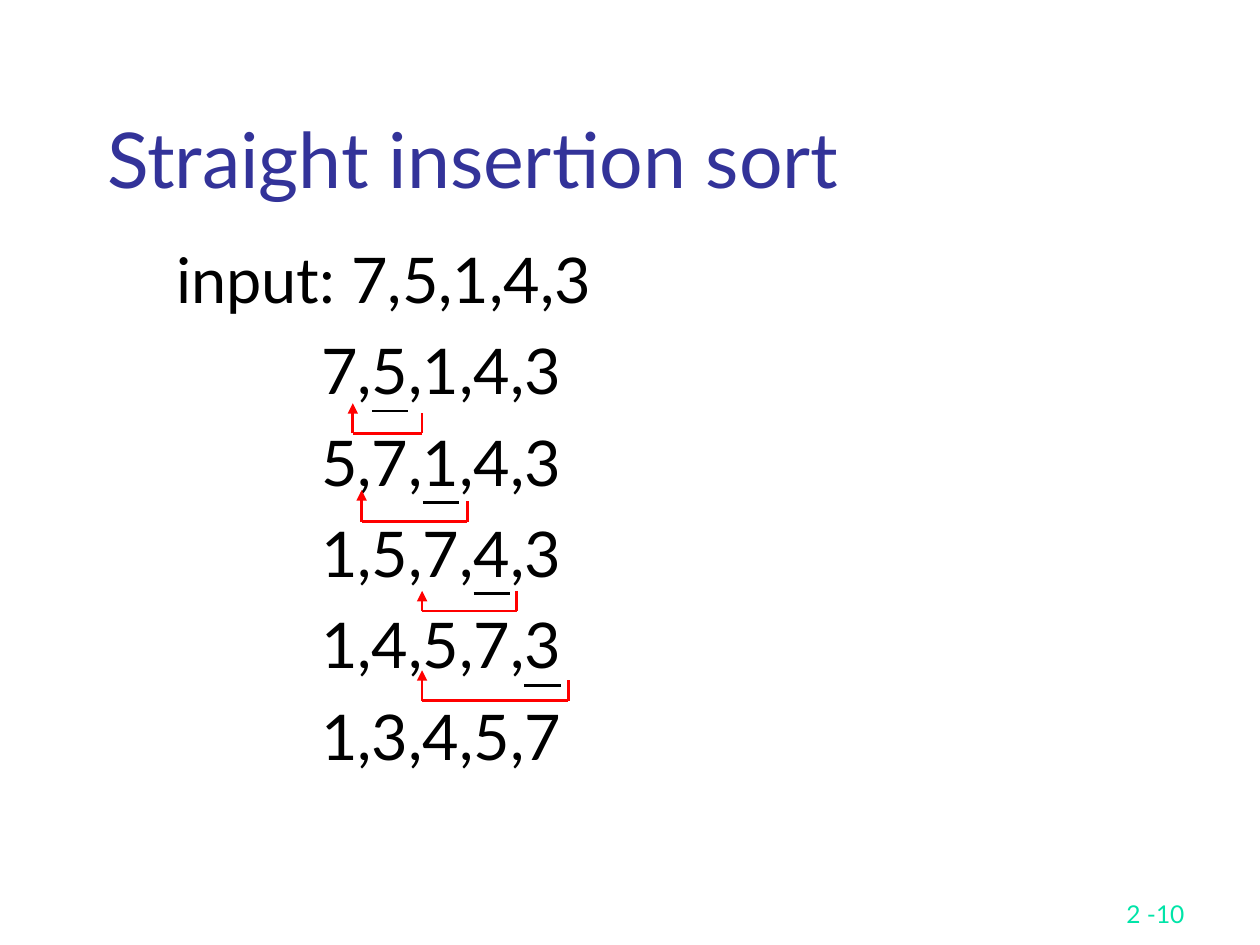
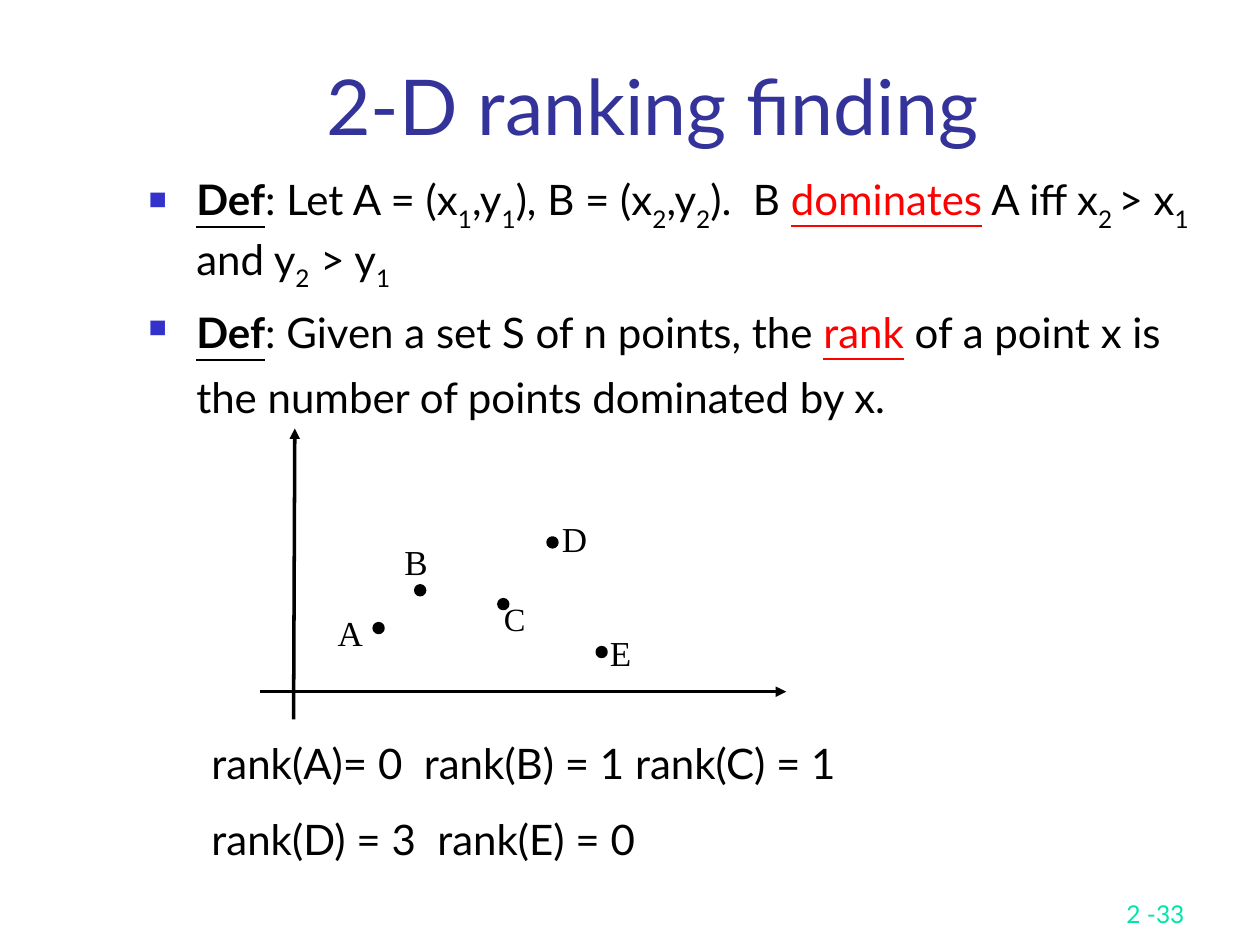
from lxml import etree
from pptx import Presentation
from pptx.dml.color import RGBColor
from pptx.enum.shapes import MSO_CONNECTOR as LINK, MSO_SHAPE as SHAPE
from pptx.enum.text import MSO_ANCHOR as ANCHOR, MSO_AUTO_SIZE as FIT, PP_ALIGN as ALIGN
from pptx.oxml.ns import qn
from pptx.util import Inches, Pt

COLORS = {"title": "333399", "page": "00E4A8", "bullet": "3333CC",
          "text": "000000", "mark": "FF0000", "back": "FFFFFF"}
SANS, SERIF = "Lato", "Times New Roman"

# Sort slide: the digits after each pass, and the place of the one to insert
INPUT = "input: 7,5,1,4,3"
PASSES = [("75143", 1), ("57143", 2), ("15743", 3), ("14573", 4), ("13457", None)]
# Each move: left, right, base and tip of its bracket
MOVES = [(2.8, 3.35, 3.44, 3.2), (2.87, 3.71, 4.14, 3.89),
         (3.35, 4.1, 4.85, 4.69), (3.35, 4.51, 5.56, 5.32)]
STUB = 0.16

# Ranking slide: runs of (text, style)
DEFS = [
    [("Def", "def"), (": Let A = (x", ""), ("1", "sub"), (",y", ""), ("1", "sub"),
     ("), B = (x", ""), ("2", "sub"), (",y", ""), ("2", "sub"), (").  B ", ""),
     ("dominates", "key"), (" A iff x", ""), ("2 ", "sub"), ("> x", ""),
     ("1", "sub"), (" and y", ""), ("2", "sub"), (" > y", ""), ("1", "sub")],
    [("Def", "def"), (": Given a set S of n points, the ", ""), ("rank", "key"),
     (" of a point x is the number of points dominated by x.", ""), (" ", "tall")],
]
RANKS = ["rank(A)= 0  rank(B) = 1 rank(C) = 1", "rank(D) = 3  rank(E) = 0"]
# Each point: dot corner, then label box
POINTS = {
    "B": ((3.3, 4.65), (3.2, 4.28, 0.27, 0.38)),
    "A": ((2.97, 4.95), (2.67, 4.84, 0.29, 0.42)),
    "C": ((3.96, 4.76), (3.99, 4.78, 0.4, 0.35)),
    "D": ((4.35, 4.27), (4.45, 4.1, 0.5, 0.36)),
    "E": ((4.74, 5.14), (4.83, 5, 0.47, 0.39)),
}
DOT = 0.07
AXES = [((2.06, 5.49), (6.24, 5.49)), ((2.33, 5.71), (2.34, 3.4))]

STYLES = {"": {}, "def": {"bold": True, "underline": True},
          "key": {"underline": True, "color": "mark"},
          "sub": {"base": "-30000"}, "tall": {"size": Pt(32)}}


def rgb(name):
    return RGBColor.from_string(COLORS[name])


def add_run(para, text, size, style="", color="text", name=SANS):
    run = para.add_run()
    run.text = text
    look = {"size": Pt(size), "name": name, "color": color, **STYLES[style]}
    run.font.color.rgb = rgb(look.pop("color"))
    base = look.pop("base", None)
    if base:
        run.font._element.set("baseline", base)
    for key, value in look.items():
        setattr(run.font, key, value)


def add_paras(frame, count, gap):
    """Give the frame count paragraphs, with gap points between them."""
    paras = [frame.paragraphs[0]] + [frame.add_paragraph() for _ in range(count - 1)]
    for para in paras[1:]:
        para.space_before = Pt(gap)
    return paras


def add_box(slide, *area):
    frame = slide.shapes.add_textbox(*map(Inches, area)).text_frame
    frame.word_wrap = True
    return frame


def add_line(slide, start, end, color, width, arrow=False):
    link = slide.shapes.add_connector(LINK.STRAIGHT, *map(Inches, start + end))
    link.line.color.rgb = rgb(color)
    link.line.width = Pt(width)
    if arrow:
        tail = etree.SubElement(link.line._get_or_add_ln(), qn("a:tailEnd"))
        tail.set("type", "triangle")
    etree.SubElement(link._element.spPr, qn("a:effectLst"))


def add_shape(slide, kind, area, color):
    shape = slide.shapes.add_shape(kind, *map(Inches, area))
    shape.shadow.inherit = False
    shape.fill.solid()
    shape.fill.fore_color.rgb = shape.line.color.rgb = rgb(color)
    shape.line.width = Pt(2)
    return shape


def add_bullet(para):
    props = para._p.get_or_add_pPr()
    props.set("marL", str(Inches(0.38)))
    props.set("indent", str(-Inches(0.38)))
    tint = etree.SubElement(props, qn("a:buClr"))
    etree.SubElement(tint, qn("a:srgbClr")).set("val", COLORS["bullet"])
    etree.SubElement(props, qn("a:buSzPct")).set("val", "60000")
    etree.SubElement(props, qn("a:buChar")).set("char", "■")


def add_slide(deck, title, area, align, page):
    """Add a slide with its title and page number."""
    slide = deck.slides.add_slide(deck.slide_layouts[5])
    head = slide.shapes.title
    head.left, head.top, head.width, head.height = map(Inches, area)
    foot = add_box(slide, 7.42, 6.92, 2.08, 0.5)
    for frame, text, size, color, side in (
            (head.text_frame, title, 44, "title", align),
            (foot, page, 14, "page", ALIGN.RIGHT)):
        frame.auto_size = FIT.NONE
        frame.vertical_anchor = ANCHOR.BOTTOM
        para = frame.paragraphs[0]
        para.alignment = side
        add_run(para, text, size, color=color)
    return slide


def build_sort(deck):
    slide = add_slide(deck, "Straight insertion sort", (0.75, 0.42, 8, 1.25),
                      ALIGN.LEFT, "2 -10")
    first, *rest = add_paras(add_box(slide, 1.3, 1.86, 6.38, 4.96), len(PASSES) + 1, 9)
    add_run(first, INPUT, 36)
    for para, (digits, pick) in zip(rest, PASSES):
        para._p.get_or_add_pPr().set("marL", str(Inches(1.15)))
        if pick is None:
            add_run(para, ",".join(digits), 36)
            continue
        add_run(para, "".join(d + "," for d in digits[:pick]), 36)
        para_pick = digits[pick]
        add_run(para, para_pick, 36)
        para.runs[-1].font.underline = True
        after = "".join("," + d for d in digits[pick + 1:])
        if after:
            add_run(para, after, 36)
    for left, right, base, tip in MOVES:
        add_line(slide, (right, base - STUB), (right, base), "mark", 1.5)
        add_line(slide, (right, base), (left, base), "mark", 1.5)
        add_line(slide, (left, base), (left, tip), "mark", 1.5, arrow=True)


def build_rank(deck):
    slide = add_slide(deck, "2-D ranking finding", (0.92, 0.42, 8.52, 0.83),
                      ALIGN.CENTER, "2 -33")
    for para, runs in zip(add_paras(add_box(slide, 1.08, 1.33, 8.5, 4.5), 2, 8), DEFS):
        add_bullet(para)
        for text, style in runs:
            add_run(para, text, 24, style)
    for name, (_, area) in POINTS.items():
        frame = add_shape(slide, SHAPE.RECTANGLE, area, "back").text_frame
        for side in ("left", "top", "right", "bottom"):
            setattr(frame, "margin_" + side, Inches(0.01))
        frame.vertical_anchor = ANCHOR.TOP
        para = frame.paragraphs[0]
        para.alignment = ALIGN.LEFT
        if name == "C":
            para.line_spacing = 0.9
        add_run(para, name, 18.5 if name == "C" else 20, name=SERIF)
    for start, end in AXES:
        add_line(slide, start, end, "text", 2, arrow=True)
    for corner, _ in POINTS.values():
        add_shape(slide, SHAPE.OVAL, corner + (DOT, DOT), "text")
    for para, text in zip(add_paras(add_box(slide, 1.58, 5.8, 6.25, 1.72), 2, 15), RANKS):
        add_run(para, text, 24)


def main():
    deck = Presentation()
    deck.slide_width, deck.slide_height = Inches(10), Inches(7.5)
    build_sort(deck)
    build_rank(deck)
    deck.save("out.pptx")


if __name__ == "__main__":
    main()
